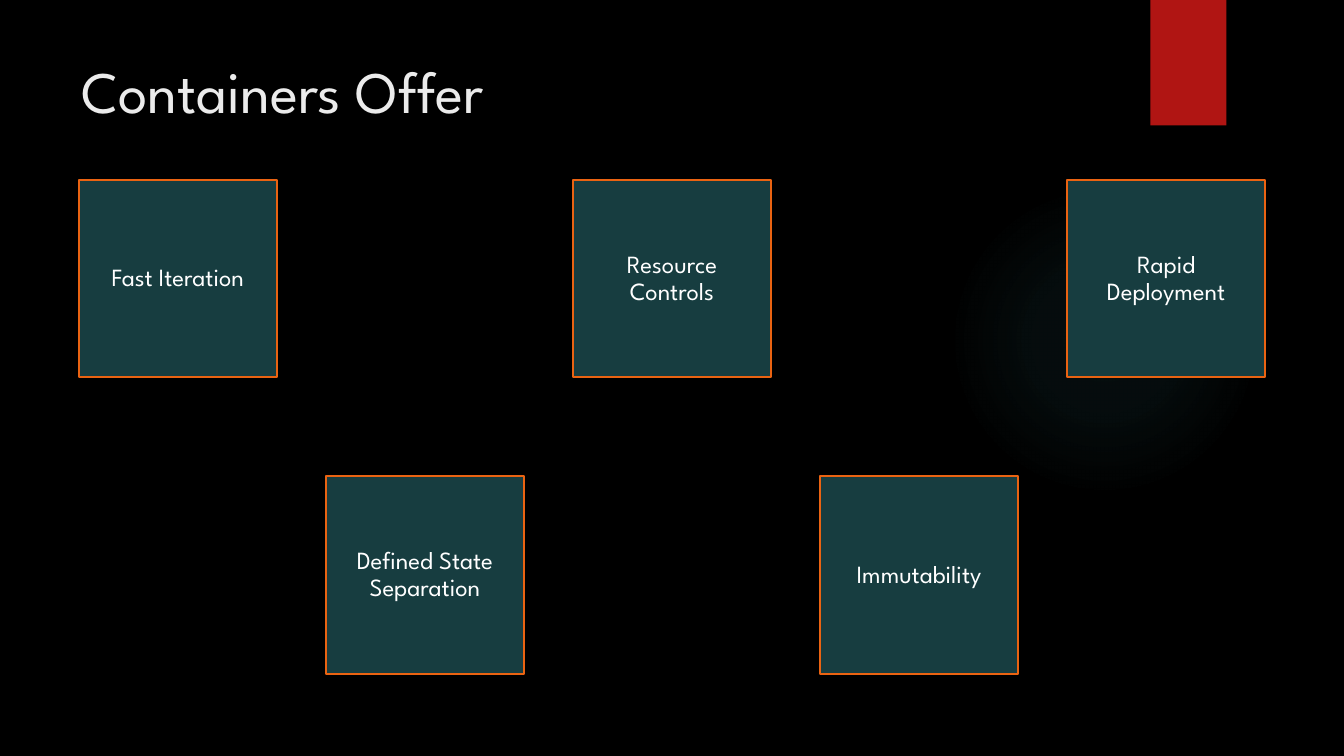
from lxml import etree
from pptx import Presentation
from pptx.dml.color import RGBColor
from pptx.enum.shapes import MSO_SHAPE
from pptx.enum.text import MSO_ANCHOR, MSO_AUTO_SIZE, PP_ALIGN
from pptx.oxml import parse_xml
from pptx.util import Inches, Pt

RECT, OVAL = MSO_SHAPE.RECTANGLE, MSO_SHAPE.OVAL
TOP, MIDDLE = MSO_ANCHOR.TOP, MSO_ANCHOR.MIDDLE
LEFT, CENTER = PP_ALIGN.LEFT, PP_ALIGN.CENTER
FIXED = MSO_AUTO_SIZE.NONE
NS = "http://schemas.openxmlformats.org/drawingml/2006/main"

FONT = "League Spartan"
COLORS = {
    "back": "000000",
    "glow": "50B9C1",
    "tab": "B01513",
    "title": "EBEBEB",
    "tile": "173D40",
    "edge": "EA6312",
    "text": "FFFFFF",
}


def color(name):
    return RGBColor.from_string(COLORS[name])


def write(frame, text, size=18, ink="text", align=LEFT, anchor=TOP,
          pad=(0.1, 0.05), gap=1.0):
    frame.word_wrap = True
    frame.auto_size = FIXED
    frame.vertical_anchor = anchor
    frame.margin_left = frame.margin_right = Inches(pad[0])
    frame.margin_top = frame.margin_bottom = Inches(pad[1])
    line = frame.paragraphs[0]
    line.alignment = align
    line.line_spacing = gap
    run = line.add_run()
    run.text = text
    run.font.name = FONT
    run.font.size = Pt(size)
    run.font.color.rgb = color(ink)


class Deck:
    def __init__(self, width, height):
        self.file = Presentation()
        self.file.slide_width = Inches(width)
        self.file.slide_height = Inches(height)
        self.slide = self.file.slides.add_slide(self.file.slide_layouts[5])
        back = self.slide.background.fill
        back.solid()
        back.fore_color.rgb = color("back")

    def shape(self, kind, box, fill, edge=None):
        item = self.slide.shapes.add_shape(kind, *map(Inches, box))
        item.shadow.inherit = False
        item.fill.solid()
        item.fill.fore_color.rgb = color(fill)
        if edge:
            item.line.color.rgb = color(edge)
            item.line.width = Pt(1.5)
        else:
            item.line.fill.background()
        return item

    def glow(self, box, stops):
        item = self.shape(OVAL, box, "glow")
        marks = "".join(
            f'<a:gs pos="{place * 1000}"><a:srgbClr val="{COLORS["glow"]}">'
            f'<a:alpha val="{alpha * 1000}"/></a:srgbClr></a:gs>'
            for place, alpha in stops)
        grad = parse_xml(
            f'<a:gradFill xmlns:a="{NS}" rotWithShape="1">'
            f'<a:gsLst>{marks}</a:gsLst><a:path path="circle">'
            '<a:fillToRect l="50000" t="50000" r="50000" b="50000"/>'
            '</a:path></a:gradFill>')
        props = item.element.spPr
        props.replace(props.find(f"{{{NS}}}solidFill"), grad)

    def tab(self, box):
        item = self.shape(RECT, box, "tab")
        effects = item.element.spPr.find(f"{{{NS}}}effectLst")
        shade = etree.SubElement(
            effects, f"{{{NS}}}outerShdw", blurRad=str(Pt(3)),
            dist=str(Pt(2)), dir="5400000", rotWithShape="0")
        tint = etree.SubElement(shade, f"{{{NS}}}srgbClr", val="000000")
        etree.SubElement(tint, f"{{{NS}}}alpha", val="45000")

    def title(self, text, box):
        item = self.slide.shapes.title
        item.left, item.top, item.width, item.height = map(Inches, box)
        write(item.text_frame, text, size=42.8, ink="title")
        # Keep the title in front of the backdrop
        self.slide.shapes._spTree.append(item.element)

    def tile(self, text, left, top, side):
        item = self.shape(RECT, (left, top, side, side), "tile", "edge")
        write(item.text_frame, text, align=CENTER, anchor=MIDDLE,
              pad=(0.2, 0.16), gap=0.9)


def main():
    deck = Deck(13.6, 7.65)

    # Backdrop
    deck.glow((9.6, 1.87, 3.15, 3.14), [(0, 7), (36, 6), (69, 0)])
    deck.tab((11.64, 0, 0.77, 1.27))

    # Title
    deck.title("Containers Offer", (0.72, 0.5, 10.49, 1.56))

    # Two staggered rows of tiles
    side, step = 2, 5
    rows = [
        (0.8, 1.82, ["Fast Iteration", "Resource Controls",
                     "Rapid Deployment"]),
        (3.3, 4.82, ["Defined State Separation", "Immutability"]),
    ]
    for left, top, names in rows:
        for col, name in enumerate(names):
            deck.tile(name, left + col * step, top, side)

    deck.file.save("out.pptx")


if __name__ == "__main__":
    main()
